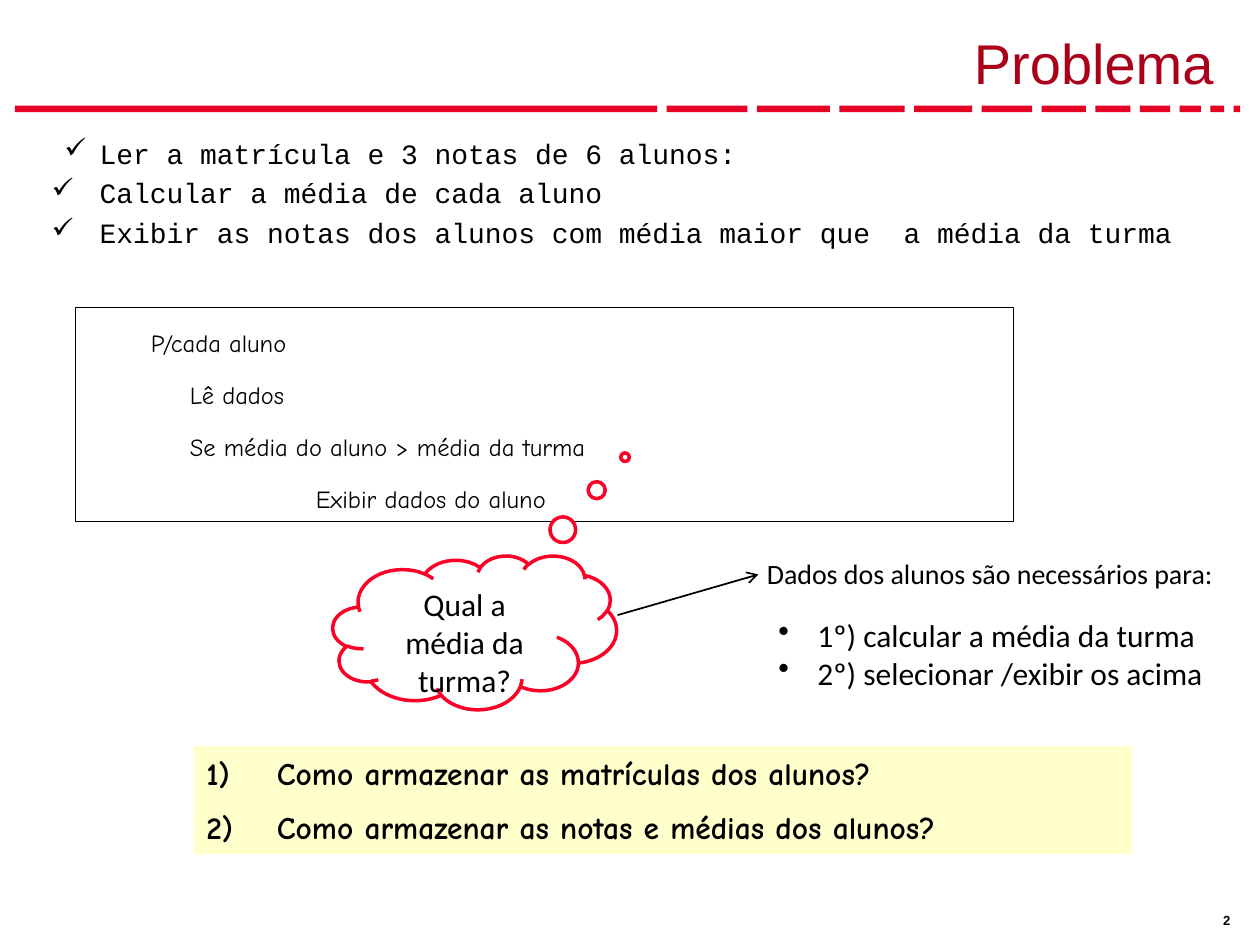
from lxml import etree
from pptx import Presentation
from pptx.dml.color import RGBColor
from pptx.enum.shapes import MSO_CONNECTOR, MSO_SHAPE
from pptx.enum.text import MSO_ANCHOR, PP_ALIGN
from pptx.oxml.ns import qn
from pptx.util import Cm, Pt

RECT, CLOUD = MSO_SHAPE.RECTANGLE, MSO_SHAPE.CLOUD_CALLOUT
STRAIGHT = MSO_CONNECTOR.STRAIGHT
TOP, MIDDLE, BOTTOM = MSO_ANCHOR.TOP, MSO_ANCHOR.MIDDLE, MSO_ANCHOR.BOTTOM
LEFT, CENTER, RIGHT = PP_ALIGN.LEFT, PP_ALIGN.CENTER, PP_ALIGN.RIGHT

RED, BLACK = "E40123", "000000"
CHECK = ("a:buChar", {"char": "✓"})
DOT = ("a:buChar", {"char": "•"})
NUMBER = ("a:buAutoNum", {"type": "arabicParenR"})

BAR_WIDTHS = [12.95, 1.63, 1.47, 1.32, 1.17, 1.02, 0.89, 0.71, 0.61, 0.43, 0.28, 0.13]
BAR_GAP = 0.19

GOALS = [
    ("Ler a matrícula e 3 notas de 6 alunos:", 0.97, -0.71),
    ("Calcular a média de cada aluno", 0.97, -0.97),
    ("Exibir as notas dos alunos com média maior que  a média da turma", 0.97, -0.97),
]
STEPS = [
    ("P/cada aluno", 1.27, 0),
    ("Lê dados", 2.06, 0),
    ("Se média do aluno > média da turma", 2.06, 0),
    ("Exibir dados do aluno", 4.6, 0),
]
USES = [
    ("1º) calcular a média da turma", 0.79, -0.79),
    ("2º) selecionar /exibir os acima", 0.79, -0.79),
]
QUESTIONS = [
    ("Como armazenar as matrículas dos alunos?", 1.42, -1.42),
    ("Como armazenar as notas e médias dos alunos?", 1.42, -1.42),
]


def rgb(color):
    """Turn a hex string into a colour."""
    return RGBColor.from_string(color)


def add_shape(s, kind, box, fill=None, line=None, width=1):
    """Add a preset shape without shadow; box is in centimetres."""
    sp = s.shapes.add_shape(kind, *map(Cm, box))
    sp.shadow.inherit = False
    if fill:
        sp.fill.solid()
        sp.fill.fore_color.rgb = rgb(fill)
    else:
        sp.fill.background()
    if line:
        sp.line.color.rgb = rgb(line)
        sp.line.width = Pt(width)
    else:
        sp.line.fill.background()
    return sp


def add_textbox(s, box):
    """Add an empty text box; box is in centimetres."""
    return s.shapes.add_textbox(*map(Cm, box))


def write(sp, items, font, color=BLACK, align=LEFT, anchor=TOP,
          bullet=None, before=0, spacing=None):
    """Fill a shape with (text, left margin, first-line indent) paragraphs."""
    tf = sp.text_frame
    tf.word_wrap = True
    tf.vertical_anchor = anchor
    for i, (text, margin, indent) in enumerate(items):
        p = tf.add_paragraph() if i else tf.paragraphs[0]
        pPr = p._p.get_or_add_pPr()
        pPr.set("marL", str(Cm(margin)))
        pPr.set("indent", str(Cm(indent)))
        if bullet:
            tag, attrs = bullet
            etree.SubElement(pPr, qn(tag), attrs)
        p.alignment = align
        p.space_before = Pt(before if i else 0)
        if spacing:
            p.line_spacing = spacing
        r = p.add_run()
        r.text = text
        for name, value in font.items():
            setattr(r.font, name, value)
        r.font.color.rgb = rgb(color)


def add_arrow(s, start, end):
    """Add a thin black line with an open arrowhead at its end."""
    c = s.shapes.add_connector(STRAIGHT, *map(Cm, start + end))
    c.line.color.rgb = rgb(BLACK)
    c.line.width = Pt(1)
    etree.SubElement(c.line._get_or_add_ln(), qn("a:tailEnd"), {"type": "arrow"})
    etree.SubElement(c._element.spPr, qn("a:effectLst"))


def add_title_bar(s):
    """Draw the row of ever shorter dashes under the title."""
    left = 0.3
    for width in BAR_WIDTHS:
        add_shape(s, RECT, (left, 2.13, width, 0.13), RED)
        left += width + BAR_GAP


def main():
    """Build the slide and save it."""
    prs = Presentation()
    prs.slide_width, prs.slide_height = Cm(25.4), Cm(19.05)
    s = prs.slides.add_slide(prs.slide_layouts[6])

    add_title_bar(s)
    number = add_textbox(s, (24.46, 18.29, 0.84, 0.51))
    for side in ("left", "right"):
        setattr(number.text_frame, f"margin_{side}", Cm(0.2))
    for side in ("top", "bottom"):
        setattr(number.text_frame, f"margin_{side}", Cm(0.1))
    write(number, [("2", 0, 0)], {"name": "Arial", "size": Pt(7.5), "bold": True})
    write(add_textbox(s, (0.79, 0.2, 23.93, 1.85)), [("Problema", 0, 0)],
          {"name": "Arial", "size": Pt(32)}, "AA001A", RIGHT, BOTTOM)
    write(add_textbox(s, (0.79, 2.62, 24.03, 15.32)), GOALS,
          {"name": "Courier New", "size": Pt(16)}, bullet=CHECK, before=3.6)

    steps = add_shape(s, RECT, (1.52, 6.2, 18.92, 4.32), line=BLACK, width=0.75)
    write(steps, STEPS, {"name": "Comic Neue", "size": Pt(14)}, before=4.5, spacing=1.5)

    cloud = add_shape(s, CLOUD, (6.71, 11.2, 5.72, 3.1), "FFFFFF", "FC0128", 2)
    cloud.adjustments[0], cloud.adjustments[1] = 0.53, -1.14
    write(cloud, [("Qual a média da turma?", 0, 0)],
          {"name": "Calibri", "size": Pt(18)}, align=CENTER)

    questions = add_shape(s, RECT, (3.91, 15.04, 18.92, 2.18), "FFFFCC")
    write(questions, QUESTIONS, {"name": "Comic Neue", "size": Pt(18), "bold": True},
          anchor=MIDDLE, bullet=NUMBER, before=9.5)

    add_arrow(s, (12.45, 12.4), (15.29, 11.58))
    write(add_textbox(s, (15.44, 12.29, 9.09, 1.8)), USES,
          {"name": "Calibri", "size": Pt(18)}, bullet=DOT)
    write(add_textbox(s, (15.21, 11.1, 10.19, 0.94)),
          [("Dados dos alunos são necessários para:", 0, 0)],
          {"name": "Calibri", "size": Pt(16)})

    prs.save("out.pptx")


if __name__ == "__main__":
    main()
